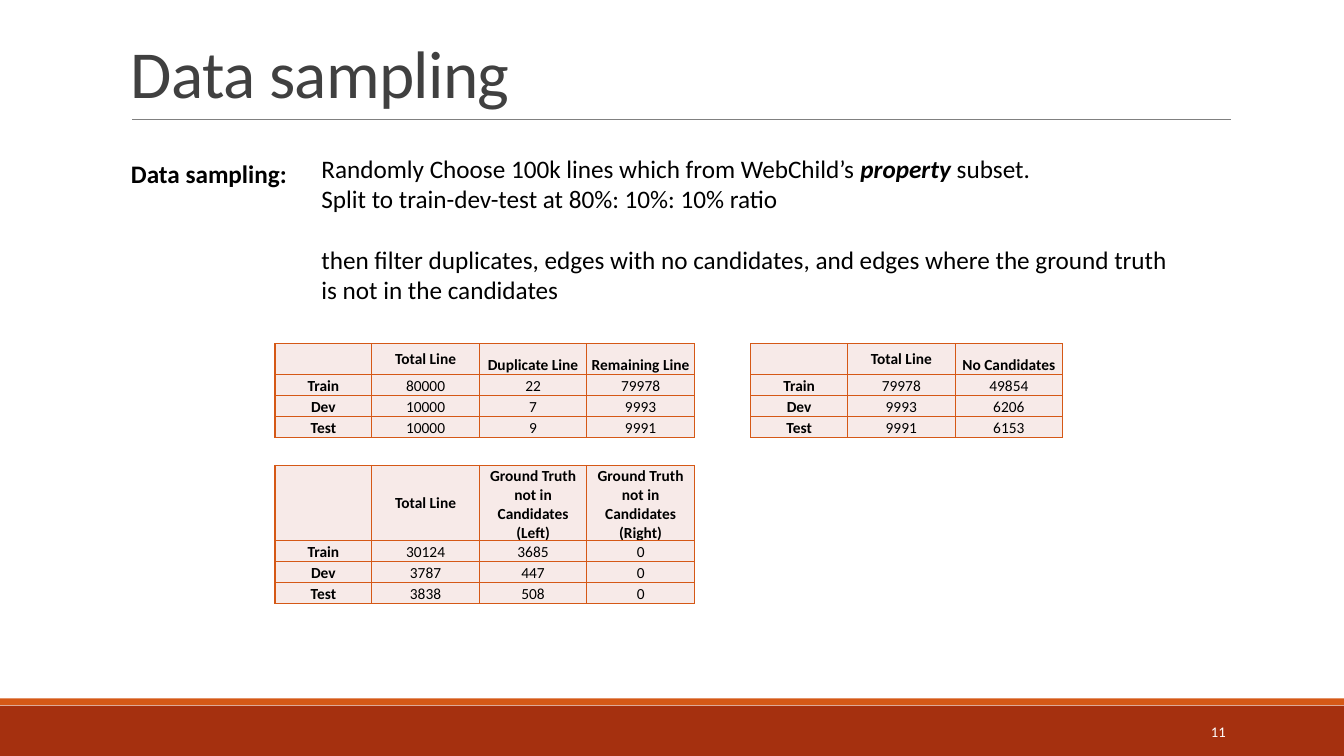
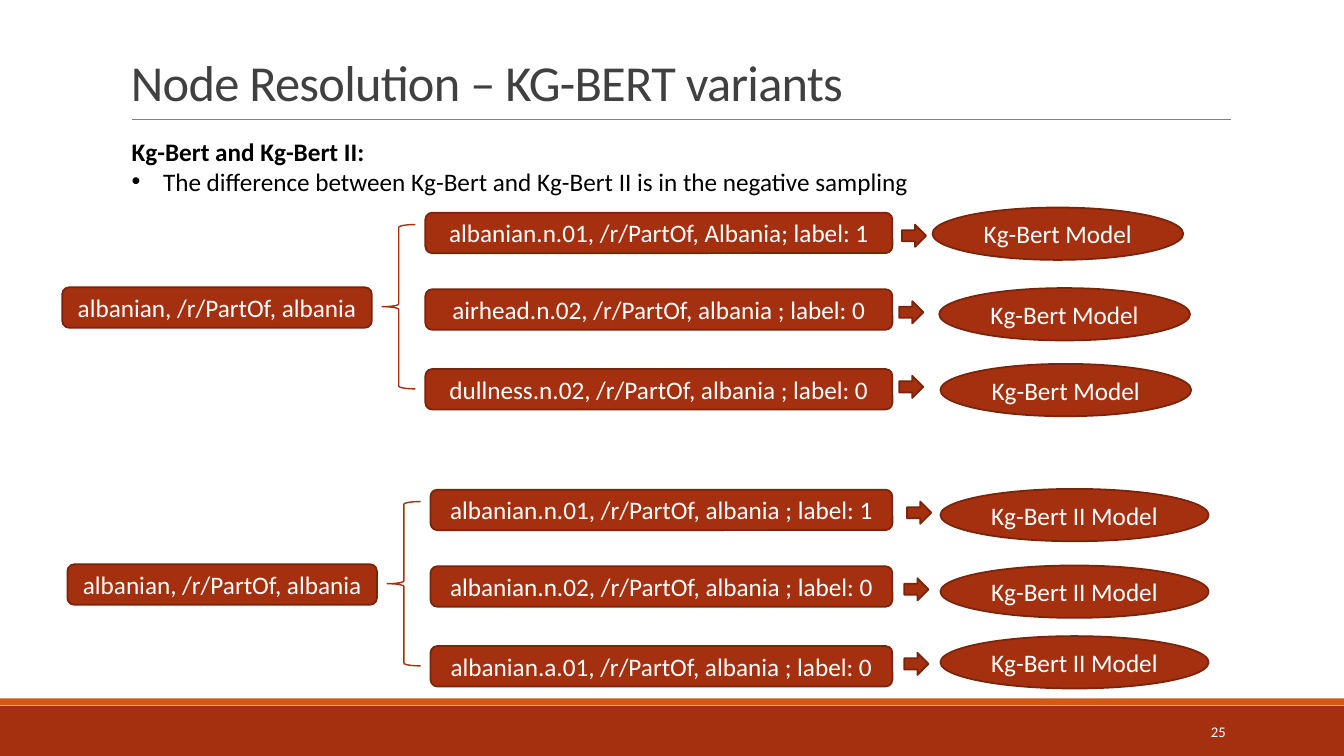
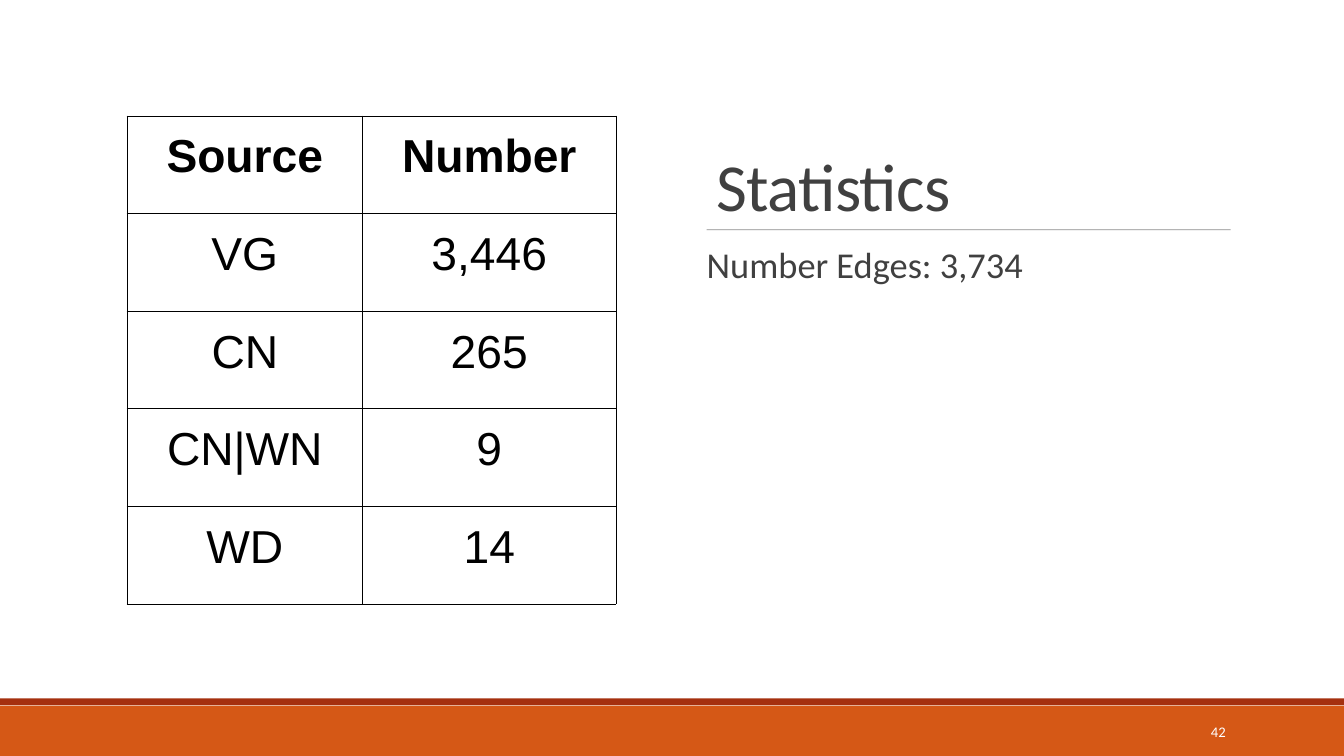
import pptx
import pptx.util
import pptx.dml.color
from pptx.enum.dml import MSO_FILL
from pptx.enum.shapes import MSO_CONNECTOR, MSO_SHAPE
from pptx.enum.text import MSO_ANCHOR, PP_ALIGN
from pptx.oxml.ns import qn
from lxml import etree

Cm, Pt = pptx.util.Cm, pptx.util.Pt


class Theme:
    font, table_font = "Calibri", "Arial"
    brick, orange, outline = "A5300F", "D55816", "7A240B"
    title, rule, text, white = "404040", "808080", "000000", "FFFFFF"
    cell = "F7EAE8"
    big, medium, body, note = 48, 36, 18, 26
    small, number, large = 11, 10.5, 33


WIDTH, HEIGHT = 33.87, 19.05
BAND_TOP, BAND_SPLIT = 17.6, 17.78
CENTER = {"alignment": PP_ALIGN.CENTER}

SAMPLING = [
    ([("Randomly Choose 100k lines which from WebChild’s ", {}),
      ("property", {"bold": True, "italic": True}), (" subset.", {})], {}),
    ("Split to train-dev-test at 80%: 10%: 10% ratio", {}),
    ("then filter duplicates, edges with no candidates, and edges where "
     "the ground truth is not in the candidates", {"space_before": Pt(22)}),
]
# left, top, header height, rows
SAMPLING_TABLES = [
    (6.93, 8.66, 0.53, [
        ("", "Total Line", "Duplicate Line", "Remaining Line"),
        ("Train", "80000", "22", "79978"),
        ("Dev", "10000", "7", "9993"),
        ("Test", "10000", "9", "9991")]),
    (18.92, 8.66, 0.53, [
        ("", "Total Line", "No Candidates"),
        ("Train", "79978", "49854"),
        ("Dev", "9993", "6206"),
        ("Test", "9991", "6153")]),
    (6.93, 11.73, 1.89, [
        ("", "Total Line", "Ground Truth not in Candidates (Left)",
         "Ground Truth not in Candidates (Right)"),
        ("Train", "30124", "3685", "0"),
        ("Dev", "3787", "447", "0"),
        ("Test", "3838", "508", "0")]),
]
VARIANTS = [
    {"shift": (0, 0), "model": "Kg-Bert Model", "model_width": 6.32,
     "models_at": [(23.5, 5.23), (23.67, 7.26), (23.7, 9.17)],
     "claims": ["albanian.n.01, /r/PartOf, Albania; label: 1",
                "airhead.n.02, /r/PartOf, albania ; label: 0",
                "dullness.n.02, /r/PartOf, albania ; label: 0"]},
    {"shift": (0.13, 6.98), "model": "Kg-Bert II Model", "model_width": 6.76,
     "models_at": [(23.7, 12.32), (23.7, 14.25), (23.7, 16.03)],
     "claims": ["albanian.n.01, /r/PartOf, albania ; label: 1",
                "albanian.n.02, /r/PartOf, albania ; label: 0",
                "albanian.a.01, /r/PartOf, albania ; label: 0"]},
]
TRIPLE = "albanian, /r/PartOf, albania"
CLAIM_TOPS = [5.36, 7.29, 9.3]
ARROWS_AT = [(22.73, 5.66), (22.66, 7.59), (22.66, 9.47)]
CLAIM_RIGHT = 22.49

STATISTICS = [("Source", "Number"), ("VG", "3,446"), ("CN", "265"),
              ("CN|WN", "9"), ("WD", "14")]


def rgb(color):
    return pptx.dml.color.RGBColor.from_string(color)


def set_all(obj, values):
    for name, value in values.items():
        setattr(obj, name, value)


def margins(left, top, right, bottom):
    return {"margin_left": Cm(left), "margin_top": Cm(top),
            "margin_right": Cm(right), "margin_bottom": Cm(bottom)}


def write(tf, paragraphs, size, color=Theme.text, **font):
    """Fill a text frame from (text or runs, paragraph format) pairs."""
    for i, (runs, layout) in enumerate(paragraphs):
        p = tf.paragraphs[0] if i == 0 else tf.add_paragraph()
        set_all(p, layout)
        for text, extra in [(runs, {})] if isinstance(runs, str) else runs:
            r = p.add_run()
            r.text = text
            set_all(r.font, {"name": Theme.font, "size": Pt(size),
                             **font, **extra})
            r.font.color.rgb = rgb(color)


def add_text(s, box, paragraphs, size, color=Theme.text, frame=None, **font):
    tf = s.shapes.add_textbox(*map(Cm, box)).text_frame
    set_all(tf, {"word_wrap": True, **(frame or {})})
    write(tf, paragraphs, size, color, **font)
    return tf


def add_block(s, kind, box, text="", fill=Theme.brick, line=Theme.outline,
              weight=1.25):
    sp = s.shapes.add_shape(kind, *map(Cm, box))
    sp.shadow.inherit = False
    if fill:
        sp.fill.solid()
        sp.fill.fore_color.rgb = rgb(fill)
    else:
        sp.fill.background()
    if line:
        sp.line.color.rgb = rgb(line)
        sp.line.width = Pt(weight)
    else:
        sp.line.fill.background()
    if text:
        set_all(sp.text_frame, {"word_wrap": True,
                                "vertical_anchor": MSO_ANCHOR.MIDDLE})
        write(sp.text_frame, [(text, CENTER)], Theme.body, Theme.white)


def add_rule(s, left, top, right, alpha=None):
    line = s.shapes.add_connector(MSO_CONNECTOR.STRAIGHT,
                                  Cm(left), Cm(top), Cm(right), Cm(top))
    line.line.color.rgb = rgb(Theme.rule)
    line.line.width = Pt(0.5)
    properties = line._element.spPr
    if alpha:
        color = next(properties.iter(qn("a:srgbClr")))
        etree.SubElement(color, qn("a:alpha"), val=str(alpha * 1000))
    etree.SubElement(properties, qn("a:effectLst"))


def add_title(s, box, text, size):
    tf = add_text(s, box, [(text, {"line_spacing": 0.85})], size, Theme.title,
                  {"vertical_anchor": MSO_ANCHOR.BOTTOM})
    tf.paragraphs[0].runs[0].font._element.set("spc", "-50")


def add_slide(prs, number, strip=Theme.orange, band=Theme.brick):
    """Add a blank slide with the footer bands and the slide number."""
    s = prs.slides.add_slide(prs.slide_layouts[6])
    for top, bottom, color in ((BAND_SPLIT, HEIGHT, band),
                               (BAND_TOP, BAND_SPLIT - 0.01, strip)):
        add_block(s, MSO_SHAPE.RECTANGLE, (0, top, WIDTH, bottom - top),
                  fill=color, line=None)
    add_text(s, (27.51, 17.93, 3.63, 1.02),
             [(str(number), {"alignment": PP_ALIGN.RIGHT})], Theme.number,
             Theme.white, {"vertical_anchor": MSO_ANCHOR.MIDDLE})
    return s


def add_titled_slide(prs, number, title, size):
    s = add_slide(prs, number)
    add_rule(s, 3.33, 3.02, 31.01)
    add_title(s, (3.05, 0.79, 27.94, 2.16), title, size)
    return s


def border(cell, color, weight):
    properties = cell._tc.get_or_add_tcPr()
    for i, side in enumerate(("lnL", "lnR", "lnT", "lnB")):
        line = etree.Element(qn("a:" + side), w=str(Pt(weight)))
        solid = etree.SubElement(line, qn("a:solidFill"))
        etree.SubElement(solid, qn("a:srgbClr"), val=color)
        properties.insert(i, line)


def add_grid(s, left, top, widths, heights, rows, size, inset, line,
             fill=None, bold_column=False, anchor=MSO_ANCHOR.TOP,
             font=Theme.font):
    table = s.shapes.add_table(len(rows), len(widths), Cm(left), Cm(top),
                               Cm(sum(widths)), Cm(sum(heights))).table
    set_all(table, {"first_row": False, "horz_banding": False})
    for column, width in zip(table.columns, widths):
        column.width = Cm(width)
    for i, (row, values) in enumerate(zip(table.rows, rows)):
        row.height = Cm(heights[i])
        for j, value in enumerate(values):
            cell = row.cells[j]
            set_all(cell, {**margins(*inset), "vertical_anchor": anchor})
            if fill:
                cell.fill.solid()
                cell.fill.fore_color.rgb = rgb(fill)
            else:
                cell.fill.background()
            border(cell, *line)
            write(cell.text_frame, [(value, CENTER)], size, name=font,
                  bold=i == 0 or (bold_column and j == 0))
    return table


def sampling_slide(prs):
    s = add_titled_slide(prs, 11, "Data sampling", Theme.big)
    add_text(s, (3.05, 3.86, 4.62, 1.02), [("Data sampling:", {})],
             Theme.body, bold=True)
    add_text(s, (7.85, 3.73, 22.17, 4.11), SAMPLING, Theme.body)
    for left, top, header, rows in SAMPLING_TABLES:
        widths = [2.44] + [2.71] * (len(rows[0]) - 1)
        table = add_grid(s, left, top, widths, [header] + [0.53] * 3, rows,
                         Theme.small, (0.02, 0.02, 0.02, 0),
                         (Theme.orange, 1), Theme.cell, True,
                         MSO_ANCHOR.BOTTOM)
        table.cell(0, 1).vertical_anchor = MSO_ANCHOR.MIDDLE


def variants_slide(prs):
    s = add_titled_slide(prs, 25, "Node Resolution – KG-BERT variants",
                         Theme.medium)
    tf = add_text(s, (3.07, 3.3, 29.03, 1.8), [
        ([("Kg-Bert and Kg-Bert II:", {"bold": True})], {}),
        ("The difference between Kg-Bert and Kg-Bert II is in the "
         "negative sampling", {})], Theme.body)
    bullet = tf.paragraphs[1]._p.get_or_add_pPr()
    bullet.set("marL", str(Cm(0.79)))
    bullet.set("indent", str(-Cm(0.79)))
    etree.SubElement(bullet, qn("a:buFont"), typeface=Theme.table_font)
    etree.SubElement(bullet, qn("a:buChar"), char="•")

    for variant in VARIANTS:
        dx, dy = variant["shift"]
        add_block(s, MSO_SHAPE.ROUNDED_RECTANGLE,
                  (1.57 + dx, 7.24 + dy, 7.8, 1.02), TRIPLE)
        add_block(s, MSO_SHAPE.LEFT_BRACE, (9.63 + dx, 5.66 + dy, 0.84, 4.14),
                  fill=None, line=Theme.brick, weight=1)
        claim_left = 10.72 + dx
        for claim, top, (x, y), model_at in zip(
                variant["claims"], CLAIM_TOPS, ARROWS_AT,
                variant["models_at"]):
            add_block(s, MSO_SHAPE.ROUNDED_RECTANGLE,
                      (claim_left, top + dy, CLAIM_RIGHT - claim_left, 1.02),
                      claim)
            add_block(s, MSO_SHAPE.RIGHT_ARROW, (x + dx, y + dy, 0.61, 0.56))
            add_block(s, MSO_SHAPE.OVAL,
                      (*model_at, variant["model_width"], 1.32),
                      variant["model"])


def statistics_slide(prs):
    s = add_slide(prs, 42, strip=Theme.brick, band=Theme.orange)
    add_title(s, (17.81, 1.75, 14.25, 4.04), "Statistics", Theme.big)
    add_rule(s, 17.81, 5.79, 31.01, alpha=90)
    add_text(s, (17.81, 6.1, 14.25, 10.19),
             [("Number Edges: 3,734",
               {"line_spacing": 0.9, "space_after": Pt(6)})],
             Theme.note, Theme.title, margins(0, 0.13, 0, 0.13))
    add_grid(s, 3.2, 2.92, [5.94, 6.38], [2.46] * len(STATISTICS), STATISTICS,
             Theme.large, (0.58, 0.38, 0.58, 0.38), (Theme.text, 0.5),
             font=Theme.table_font)


def main():
    prs = pptx.Presentation()
    prs.slide_width, prs.slide_height = Cm(WIDTH), Cm(HEIGHT)
    sampling_slide(prs)
    variants_slide(prs)
    statistics_slide(prs)
    prs.save("out.pptx")


if __name__ == "__main__":
    main()
